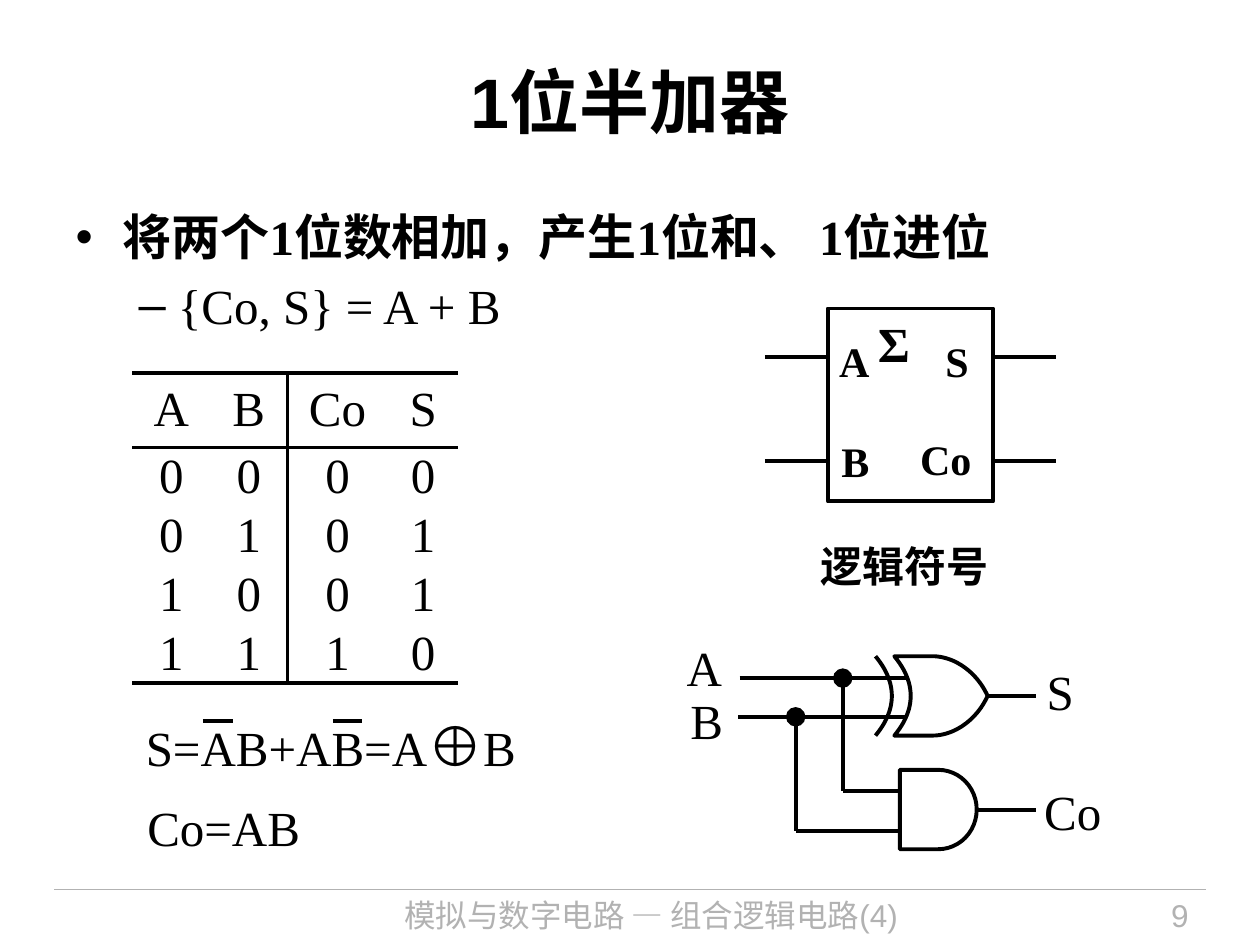
import pptx
import pptx.dml.color
import pptx.enum.shapes
import pptx.enum.text
import pptx.oxml
import pptx.oxml.ns
import pptx.util

Cm = pptx.util.Cm
Pt = pptx.util.Pt
Align = pptx.enum.text.PP_ALIGN
Anchor = pptx.enum.text.MSO_ANCHOR
Shape = pptx.enum.shapes.MSO_SHAPE

BLACK = pptx.dml.color.RGBColor(0, 0, 0)
WHITE = pptx.dml.color.RGBColor(255, 255, 255)
GREY = pptx.dml.color.RGBColor(0xB2, 0xB2, 0xB2)
SERIF = "Times New Roman"
SANS = "Arial"
STROKE = Pt(2.25)
PLAIN_TABLE_STYLE = "{2D5ABB26-0587-4C30-8999-92F81FD0307C}"

TITLE = "1位半加器"
STATEMENT = "将两个1位数相加，产生1位和、 1位进位"
RELATION = "{Co, S} = A + B"
FOOTER = "模拟与数字电路 — 组合逻辑电路(4)"
PAGE = "9"

TRUTH_TABLE = [
    ("A", "B", "Co", "S"),
    (0, 0, 0, 0),
    (0, 1, 0, 1),
    (1, 0, 0, 1),
    (1, 1, 1, 0),
]
COLUMN_WIDTHS = [1.57, 1.55, 2.03, 1.42]
ROW_HEIGHTS = [1.5] + [1.17] * 4

SUM_FORMULA = [("S=AB+AB=A", 28), ("⊕", 32), ("B", 28)]
FORMULAS = [
    (SUM_FORMULA, (2.69, 14.2, 7.98, 1.6)),
    ("Co=AB", (2.72, 15.95, 3.7, 1.45)),
]
OVERLINES = [(4.09, 4.7), (6.71, 7.29)]
OVERLINE_Y = 14.53

SYMBOL_LABELS = [
    ("A", (16.66, 6.63, 1.12, 1.27)),
    ("B", (16.71, 8.66, 1.07, 1.27)),
    ("S", (18.8, 6.63, 0.99, 1.27)),
    ("Co", (18.24, 8.61, 1.65, 1.27)),
    ("逻辑符号", (16.28, 10.77, 3.91, 1.27)),
]
SYMBOL_BOX = (16.69, 6.22, 3.33, 3.89)
PIN_ROWS = [7.19, 9.3]
PIN_LENGTH = 1.27

CIRCUIT_LABELS = [
    ("A", (13.59, 12.73, 1.22, 1.45)),
    ("B", (13.67, 13.79, 1.17, 1.45)),
    ("S", (20.85, 13.21, 1.07, 1.45)),
    ("Co", (20.8, 15.62, 1.9, 1.45)),
]
INPUTS = [
    {"start": 14.91, "y": 13.67, "branch": 16.99, "drop": 15.95},
    {"start": 14.88, "y": 14.45, "branch": 16.04, "drop": 16.76},
]
INPUT_END, OUTPUT_END = 18.29, 20.88
AND_BOX = (18.14, 15.52, 1.55, 1.6)
XOR_TOP, XOR_MIDDLE, XOR_BOTTOM = 13.23, 14.03, 14.83
XOR_BACK, XOR_SHOULDER, XOR_TIP = 18.03, 18.8, 19.91
XOR_GAP = 0.38

presentation = pptx.Presentation()
presentation.slide_width, presentation.slide_height = Cm(25.4), Cm(19.05)
slide = presentation.slides.add_slide(presentation.slide_layouts[1])


def write(paragraph, text, size=28, font=SERIF, color=BLACK, bold=False, align=Align.LEFT):
    paragraph.alignment = align
    for words, points in [(text, size)] if isinstance(text, str) else text:
        run = paragraph.add_run()
        run.text = words
        run.font.size = Pt(points)
        run.font.name = font
        run.font.bold = bold
        run.font.color.rgb = color


def label(text, box, **look):
    frame = slide.shapes.add_textbox(*map(Cm, box)).text_frame
    frame.word_wrap = False
    frame.auto_size = pptx.enum.text.MSO_AUTO_SIZE.SHAPE_TO_FIT_TEXT
    write(frame.paragraphs[0], text, **look)
    return frame


def wire(x1, y1, x2, y2, color=BLACK, width=STROKE, dot=False):
    connector = slide.shapes.add_connector(
        pptx.enum.shapes.MSO_CONNECTOR.STRAIGHT, *map(Cm, (x1, y1, x2, y2)))
    connector.line.color.rgb = color
    connector.line.width = width
    properties = connector._element.spPr
    if dot:
        head = pptx.oxml.ns.qn("a:headEnd")
        line = properties.find(pptx.oxml.ns.qn("a:ln"))
        line.append(line.makeelement(head, {"type": "oval", "w": "lg", "len": "lg"}))
    properties.append(properties.makeelement(pptx.oxml.ns.qn("a:effectLst"), {}))
    return connector


def outline(shape, fill=None):
    shape.shadow.inherit = False
    if fill is None:
        shape.fill.background()
    else:
        shape.fill.solid()
        shape.fill.fore_color.rgb = fill
    shape.line.color.rgb = BLACK
    shape.line.width = STROKE


def curve(p0, p1, p2, p3, steps=24):
    return [
        tuple((1 - t) ** 3 * a + 3 * (1 - t) ** 2 * t * b + 3 * (1 - t) * t * t * c + t ** 3 * d
              for a, b, c, d in zip(p0, p1, p2, p3))
        for t in (step / steps for step in range(steps + 1))
    ]


def draw(points, close):
    first, *rest = [(Cm(x), Cm(y)) for x, y in points]
    builder = slide.shapes.build_freeform(*first, scale=1.0)
    builder.add_line_segments(rest, close=close)
    outline(builder.convert_to_shape())


def border(cell, ruled):
    properties = cell._tc.get_or_add_tcPr()
    for side in "LRTB":
        paint = (f'<a:solidFill><a:srgbClr val="{BLACK}"/></a:solidFill>'
                 if side in ruled else "<a:noFill/>")
        properties.append(pptx.oxml.parse_xml(
            f'<a:ln{side} {pptx.oxml.ns.nsdecls("a")} w="{STROKE}">{paint}</a:ln{side}>'))


def place(shape, box):
    shape.left, shape.top, shape.width, shape.height = map(Cm, box)


title, body = slide.placeholders
place(title, (1.27, 0.43, 22.86, 3.18))
title.text_frame.vertical_anchor = Anchor.MIDDLE
write(title.text_frame.paragraphs[0], TITLE, size=40, font=SANS, bold=True, align=Align.CENTER)

place(body, (1.27, 4.04, 22.86, 3.68))
statement = body.text_frame.paragraphs[0]
statement.space_before = Pt(0)
write(statement, STATEMENT, bold=True)
relation = body.text_frame.add_paragraph()
relation.level = 1
write(relation, RELATION)

wire(1.09, 17.93, 24.31, 17.93, color=GREY, width=Pt(0.75))
for text, box, align in [(FOOTER, (6.32, 17.93, 13.61, 1.12), Align.CENTER),
                         (PAGE, (20.83, 17.93, 3.38, 1.12), Align.RIGHT)]:
    label(text, box, size=18, font=SANS, color=GREY, align=align).word_wrap = True

truth = slide.shapes.add_table(
    len(TRUTH_TABLE), len(COLUMN_WIDTHS), Cm(2.67), Cm(7.52),
    Cm(sum(COLUMN_WIDTHS)), Cm(sum(ROW_HEIGHTS))).table
truth.first_row = truth.horz_banding = False
truth._tbl.tblPr.find(pptx.oxml.ns.qn("a:tableStyleId")).text = PLAIN_TABLE_STYLE
for column, width in zip(truth.columns, COLUMN_WIDTHS):
    column.width = Cm(width)
for r, (values, height) in enumerate(zip(TRUTH_TABLE, ROW_HEIGHTS)):
    truth.rows[r].height = Cm(height)
    for c, value in enumerate(values):
        cell = truth.cell(r, c)
        cell.margin_left = cell.margin_right = cell.margin_top = cell.margin_bottom = 0
        cell.vertical_anchor = Anchor.MIDDLE
        ruled = {1: "R", 2: "L"}.get(c, "")
        ruled += "T" if r < 2 else ""
        ruled += "B" if r in (0, len(TRUTH_TABLE) - 1) else ""
        border(cell, ruled)
        cell.fill.background()
        write(cell.text_frame.paragraphs[0], str(value), align=Align.CENTER)

for text, box in FORMULAS:
    label(text, box)
for x1, x2 in OVERLINES:
    wire(x1, OVERLINE_Y, x2, OVERLINE_Y)

outline(slide.shapes.add_shape(Shape.RECTANGLE, *map(Cm, SYMBOL_BOX)))
for y in PIN_ROWS:
    for x in (SYMBOL_BOX[0] - PIN_LENGTH, SYMBOL_BOX[0] + SYMBOL_BOX[2]):
        wire(x, y, x + PIN_LENGTH, y)
for text, box in SYMBOL_LABELS:
    label(text, box, size=24, bold=True, align=Align.CENTER)
sigma = label("Σ", (17.7, 6.32, 0.99, 1.19), bold=True)
sigma.margin_left = sigma.margin_right = sigma.margin_top = sigma.margin_bottom = 0
sigma.vertical_anchor = Anchor.MIDDLE

for text, box in CIRCUIT_LABELS:
    label(text, box)
for signal in INPUTS:
    wire(signal["start"], signal["y"], INPUT_END, signal["y"])
    wire(signal["branch"], signal["y"], signal["branch"], signal["drop"], dot=True)
    wire(signal["branch"], signal["drop"], AND_BOX[0], signal["drop"])

back = curve((XOR_BACK, XOR_BOTTOM), (XOR_BACK + 0.44, 14.3),
             (XOR_BACK + 0.44, 13.76), (XOR_BACK, XOR_TOP))
upper = curve((XOR_SHOULDER, XOR_TOP), (19.23, XOR_TOP), (19.69, 13.54), (XOR_TIP, XOR_MIDDLE))
lower = [(x, 2 * XOR_MIDDLE - y) for x, y in reversed(upper)]
draw(back + upper + lower, close=True)
draw([(x - XOR_GAP, y) for x, y in back], close=False)
wire(XOR_TIP, XOR_MIDDLE, OUTPUT_END, XOR_MIDDLE)

and_gate = slide.shapes.add_shape(Shape.FLOWCHART_DELAY, *map(Cm, AND_BOX))
outline(and_gate, fill=WHITE)
carry_y = AND_BOX[1] + AND_BOX[3] / 2
wire(AND_BOX[0] + AND_BOX[2], carry_y, OUTPUT_END, carry_y).begin_connect(and_gate, 3)

presentation.save("out.pptx")
